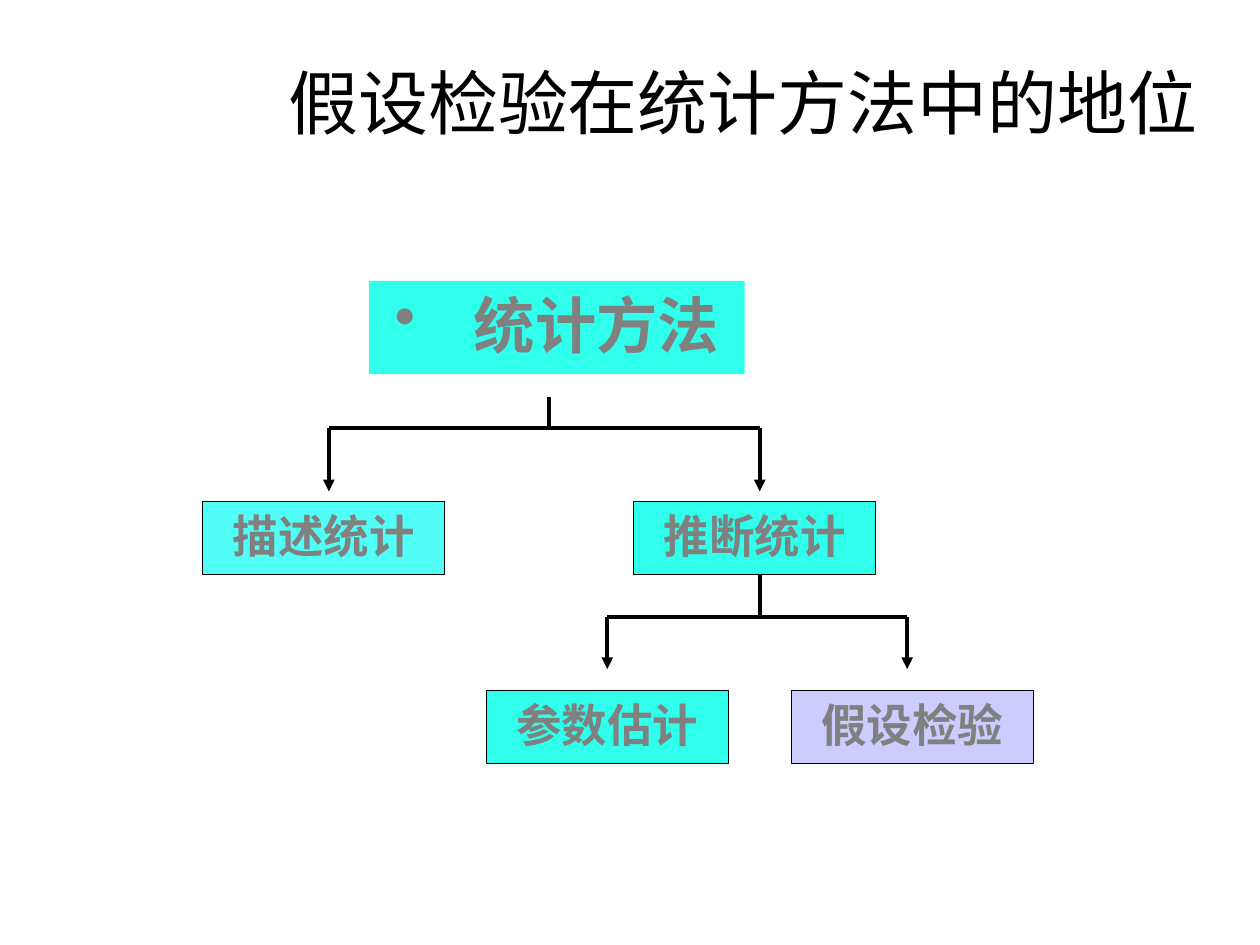
from pptx import Presentation
from pptx.dml.color import RGBColor
from pptx.enum.shapes import MSO_CONNECTOR, MSO_SHAPE
from pptx.enum.text import MSO_ANCHOR, PP_ALIGN
from pptx.oxml.ns import qn
from pptx.util import Inches, Pt
from lxml.etree import SubElement

THEME = {
    "ink": "000000", "gray": "808080", "aqua": "2FFFEB",
    "pale": "51FFF7", "lilac": "CCCCFF",
    "sans": "Arial", "serif": "Times New Roman",
    "title": 40, "root": 35, "node": 26, "edge": 0.75, "rule": 2.25,
}

TITLE = ("假设检验在统计方法中的地位", (2.12, 0.19, 7.55, 1.23))
ROOT = ("统计方法", (2.93, 2.23, 2.98, 0.74))
SIZE = (1.92, 0.58)
NODES = [
    ("描述统计", 1.61, 3.98, "pale"),
    ("推断统计", 5.03, 3.98, "aqua"),
    ("参数估计", 3.86, 5.48, "aqua"),
    ("假设检验", 6.28, 5.48, "lilac"),
]
TREES = [
    {"stem": 4.36, "top": 3.15, "bar": 3.4, "tip": 3.9, "kids": (2.61, 6.03)},
    {"stem": 6.03, "top": 4.56, "bar": 4.9, "tip": 5.31, "kids": (4.82, 7.2)},
]


def color(name):
    return RGBColor.from_string(THEME[name])


def write(shape, text, size="node", font="serif", tint="gray", bold=True,
          anchor=MSO_ANCHOR.TOP, bullet=None, indent=0):
    frame = shape.text_frame
    frame.word_wrap = True
    frame.vertical_anchor = anchor
    para = frame.paragraphs[0]
    para.alignment = PP_ALIGN.CENTER
    if bullet:
        props = para._p.get_or_add_pPr()
        props.set("marL", str(Inches(indent)))
        props.set("indent", str(-Inches(indent)))
        SubElement(props, qn("a:buChar")).set("char", bullet)
    run = para.add_run()
    run.text = text
    run.font.size = Pt(THEME[size])
    run.font.name = THEME[font]
    run.font.bold = bold
    run.font.color.rgb = color(tint)


def add_box(slide, area, fill, edge=True):
    box = slide.shapes.add_shape(MSO_SHAPE.RECTANGLE, *map(Inches, area))
    box.shadow.inherit = False
    box.fill.solid()
    box.fill.fore_color.rgb = color(fill)
    if edge:
        box.line.color.rgb = color("ink")
        box.line.width = Pt(THEME["edge"])
    else:
        box.line.fill.background()
    return box


def add_line(slide, start, end, arrow=False):
    line = slide.shapes.add_connector(
        MSO_CONNECTOR.STRAIGHT, *map(Inches, start + end))
    line.line.color.rgb = color("ink")
    line.line.width = Pt(THEME["rule"])
    if arrow:
        SubElement(line.line._get_or_add_ln(), qn("a:tailEnd")).set("type", "triangle")
    SubElement(line._element.spPr, qn("a:effectLst"))


def add_tree(slide, stem, top, bar, tip, kids):
    add_line(slide, (stem, top), (stem, bar))
    add_line(slide, (kids[0], bar), (kids[-1], bar))
    for kid in kids:
        add_line(slide, (kid, bar), (kid, tip), arrow=True)


def main():
    deck = Presentation()
    deck.slide_width, deck.slide_height = Inches(10), Inches(7.5)
    slide = deck.slides.add_slide(deck.slide_layouts[6])

    text, area = TITLE
    write(slide.shapes.add_textbox(*map(Inches, area)), text, size="title",
          font="sans", tint="ink", bold=False, anchor=MSO_ANCHOR.MIDDLE)
    text, area = ROOT
    write(add_box(slide, area, "aqua", edge=False), text, size="root",
          font="sans", bullet="•", indent=0.63)
    for text, left, top, fill in NODES:
        write(add_box(slide, (left, top, *SIZE), fill), text)
    for tree in TREES:
        add_tree(slide, **tree)

    deck.save("out.pptx")


if __name__ == "__main__":
    main()
